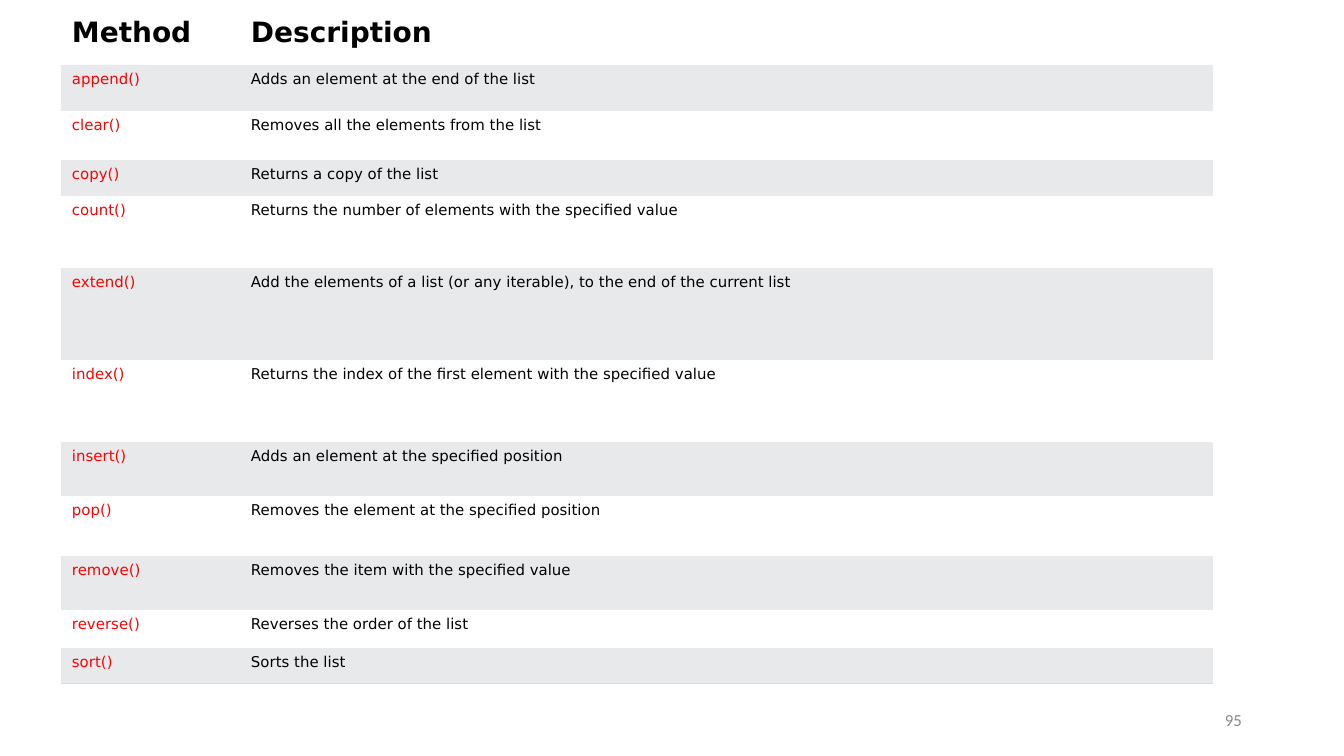
from lxml.etree import SubElement
from pptx import Presentation
from pptx.dml.color import RGBColor
from pptx.enum.text import MSO_ANCHOR, PP_ALIGN
from pptx.oxml import parse_xml
from pptx.oxml.ns import nsdecls, qn
from pptx.util import Emu, Pt

HEADER = ("Method", "Description", 54)
METHODS = [  # name, description, row height in px
    ("append()", "Adds an element at the end of the list", 46),
    ("clear()", "Removes all the elements from the list", 49),
    ("copy()", "Returns a copy of the list", 36),
    ("count()", "Returns the number of elements with the specified value", 72),
    ("extend()", "Add the elements of a list (or any iterable), to the end of the current list", 92),
    ("index()", "Returns the index of the first element with the specified value", 82),
    ("insert()", "Adds an element at the specified position", 54),
    ("pop()", "Removes the element at the specified position", 60),
    ("remove()", "Removes the item with the specified value", 54),
    ("reverse()", "Reverses the order of the list", 38),
    ("sort()", "Sorts the list", 36),
]
PAGE_NUMBER = "95"

COLORS = {
    "text": "000000", "method": "FF0000", "number": "888888",
    "plain": "FFFFFF", "band": "E7E9EB", "rule": "DDDDDD",
}
TABLE_LEFT, TABLE_TOP = 61, 11
COLUMN_WIDTHS = (184, 968)
LEFT_MARGINS = (11, 6)
CELL_MARGIN = 6
NO_STYLE = "{2D5ABB26-0587-4C30-8999-92F81FD0307C}"


def px(length):
    return Emu(round(length * 9144000 / 1344))


def color(name):
    return RGBColor.from_string(COLORS[name])


def write(frame, text, color_name, **font_format):
    para = frame.paragraphs[0]
    span = para.add_run()
    span.text = text
    for attribute, value in font_format.items():
        setattr(span.font, attribute, value)
    span.font.color.rgb = color(color_name)
    return para


def add_bottom_rule(cell):
    line = parse_xml(f'<a:lnB {nsdecls("a")} w="{Pt(1)}"/>')
    fill = SubElement(line, qn("a:solidFill"))
    SubElement(fill, qn("a:srgbClr"), val=COLORS["rule"])
    cell._tc.get_or_add_tcPr().insert(0, line)


def add_method_table(page):
    rows = [HEADER, *METHODS]
    box = page.shapes.add_table(
        len(rows), len(COLUMN_WIDTHS), px(TABLE_LEFT), px(TABLE_TOP),
        px(sum(COLUMN_WIDTHS)), px(sum(row[-1] for row in rows)))
    table = box.table
    table.first_row = table.horz_banding = False
    table._tbl.tblPr.find(qn("a:tableStyleId")).text = NO_STYLE
    for column, width in zip(table.columns, COLUMN_WIDTHS):
        column.width = px(width)

    for row_index, (*texts, height) in enumerate(rows):
        is_header = row_index == 0
        table.rows[row_index].height = px(height)
        for column_index, text in enumerate(texts):
            cell = table.cell(row_index, column_index)
            cell.margin_left = px(LEFT_MARGINS[column_index])
            for side in ("right", "top", "bottom"):
                setattr(cell, f"margin_{side}", px(CELL_MARGIN))
            cell.fill.solid()
            cell.fill.fore_color.rgb = color("band" if row_index % 2 else "plain")
            is_method = column_index == 0 and not is_header
            write(cell.text_frame, text, "method" if is_method else "text",
                  name="DejaVu Sans", size=Pt(15 if is_header else 8), bold=is_header)
            if row_index == len(rows) - 1:
                add_bottom_rule(cell)


def add_page_number(page):
    frame = page.shapes.add_textbox(px(949), px(700), px(302), px(40)).text_frame
    frame_format = {
        "word_wrap": True, "vertical_anchor": MSO_ANCHOR.MIDDLE,
        "margin_left": px(9), "margin_right": px(9),
        "margin_top": px(5), "margin_bottom": px(5),
    }
    for attribute, value in frame_format.items():
        setattr(frame, attribute, value)
    para = write(frame, PAGE_NUMBER, "number", name="Calibri", size=Pt(9))
    para.alignment = PP_ALIGN.RIGHT


def main():
    deck = Presentation()
    deck.slide_width, deck.slide_height = px(1344), px(756)
    page = deck.slides.add_slide(deck.slide_layouts[6])
    add_method_table(page)
    add_page_number(page)
    deck.save("out.pptx")


if __name__ == "__main__":
    main()
